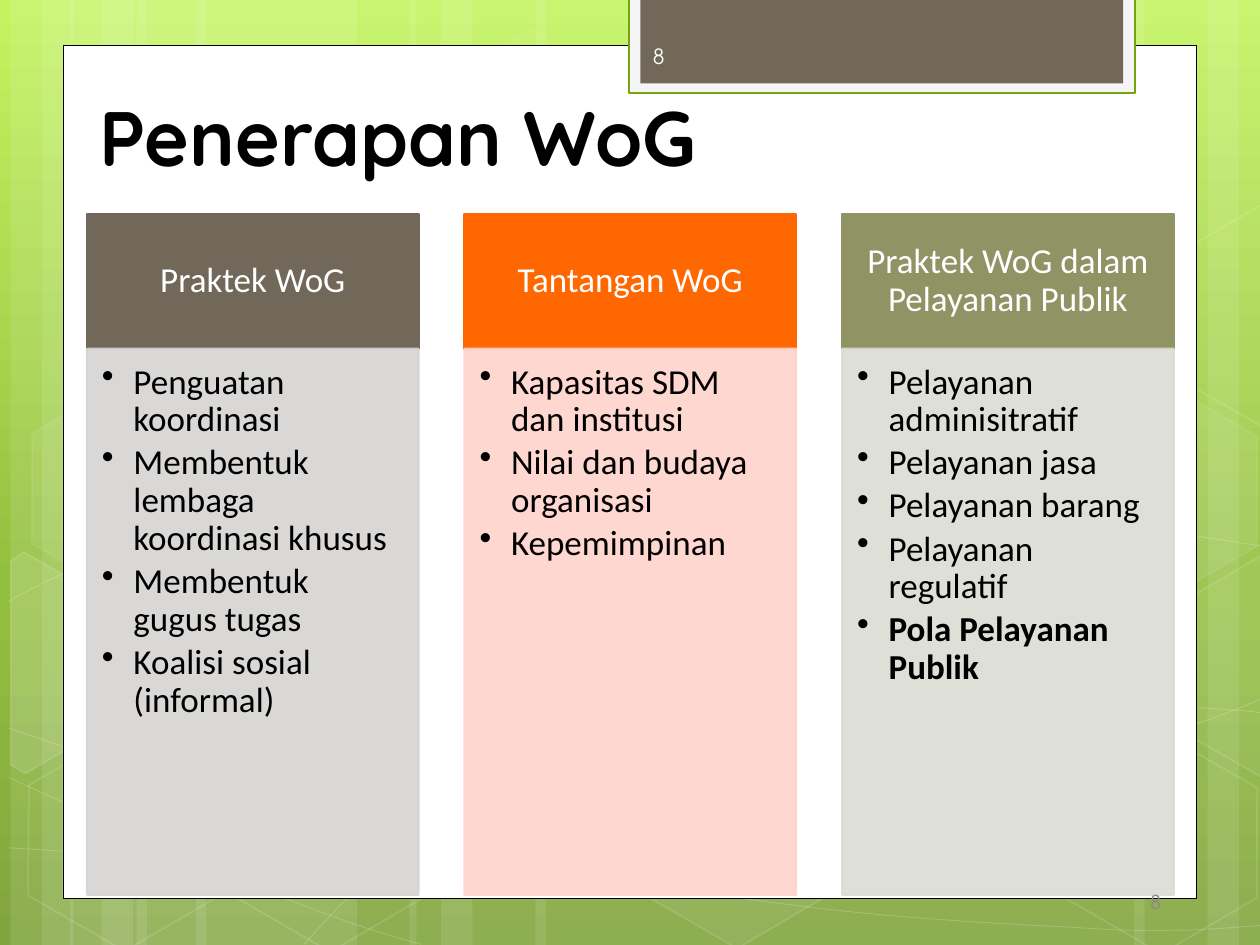
from copy import deepcopy
from math import cos, radians, sin
from lxml.etree import SubElement as Sub
from pptx import Presentation
from pptx.dml.color import RGBColor as Rgb
from pptx.enum.shapes import MSO_SHAPE as Kind
from pptx.enum.text import MSO_ANCHOR as Anchor, PP_ALIGN as Align
from pptx.oxml.ns import qn
from pptx.util import Pt

HEX = {
    "white": "FFFFFF", "black": "000000", "lime": "C3F35F", "green": "93BF3F",
    "moss": "81A53E", "edge": "74A510", "pale": "F5F5F5", "brown": "71685A",
    "orange": "FF6700", "olive": "909465", "stone": "D5D4D2", "pink": "FFD3CC",
    "sage": "DBDCD3", "grey": "8B8B8B", "snow": "FEFEFE",
}
PAGE = (0, 0, 720, 540)
TILT = 30
BARS = [(x + dx, w) for dx in (0, 34) for x, w in ((78, 126), (6, 36), (24, 60))]
TURNED = [(528, 126), (690, 36), (648, 60)]
MIDDLE = [(306, 222), (234, 36), (252, 60)]
CURVES = [
    [(5, 484.5), (44, 487), (83, 489), (137, 488), (191, 487), (258, 486), (330, 479),
     (402, 472), (504, 458), (570, 444), (636, 430.5), (703.5, 409), (725, 397)],
    [(5, 343.5), (26, 332), (47, 321), (87, 310), (128, 299.5), (186.5, 283.5),
     (250, 278.5), (314, 273.5), (392, 273), (471, 278.5), (550, 284.5),
     (682, 306.5), (725, 312.5)],
    [(4.5, 444), (91.5, 484), (178, 523.5), (240.5, 539.5)],
    [(5, 416), (27.5, 424), (50.5, 432), (92, 443.5), (134, 454.5), (196.5, 472.5),
     (257, 484.5), (317, 497), (392.5, 510), (452, 517), (512, 525), (576, 528),
     (614, 530), (651.5, 532.5), (661.5, 531.5), (680.5, 531.5), (699, 530.5),
     (712, 529.5), (725, 528.5)],
    [(174, 539.5), (187, 525), (200, 510.5), (217.5, 497.5), (234.5, 484.5),
     (259, 470), (279.5, 460), (299.5, 450), (312, 445.5), (338.5, 438.5),
     (364.5, 431.5), (412.5, 421), (438, 416), (463.5, 411), (467.5, 411),
     (489.5, 409.5), (512, 407.5), (547, 405.5), (571.5, 404.5), (597, 404),
     (638, 404.5), (638, 404.5), (638, 404.5), (686, 404.5), (686, 404.5),
     (699, 405.5), (711.5, 406), (718, 407), (724.5, 407.5), (722, 407), (724.5, 407.5)],
]
HEXES = [
    (240.5, 26, 4, 8), (358, 424, 6, 12), (8, 425.5, 0, 12), (10, 224.5, 7, 8),
    (125.5, 426, 0, 12), (542, 326, 10, 12), (600.5, 427, 0, 12), (600.5, 226, 7, 8),
]
LEFT = [(6, 320.5), (13.5, 315.5), (69, 347), (68.5, 410.5), (14.5, 442), (6, 437)]
RIGHT = [(666.5, 349), (720.5, 317.5), (726.5, 321), (726.5, 441.5), (721.5, 444),
         (666.5, 412.5)]
CARDS = [
    ("Praktek WoG", "brown", "stone",
     ["Penguatan koordinasi", "Membentuk lembaga koordinasi khusus",
      "Membentuk gugus tugas", "Koalisi sosial (informal)"]),
    ("Tantangan WoG", "orange", "pink",
     ["Kapasitas SDM dan institusi", "Nilai dan budaya organisasi", "Kepemimpinan"]),
    ("Praktek WoG dalam Pelayanan Publik", "olive", "sage",
     ["Pelayanan adminisitratif", "Pelayanan jasa", "Pelayanan barang",
      "Pelayanan regulatif", "Pola Pelayanan Publik"]),
]


def tint(shape, fill, trail, name, alpha):
    fill.solid()
    fill.fore_color.rgb = Rgb.from_string(HEX[name])
    if alpha < 100:
        tags = ["p:spPr"] + trail + ["a:solidFill", "a:srgbClr"]
        color = shape.element.find("/".join(qn(t) for t in tags))
        Sub(color, qn("a:alpha")).set("val", str(alpha * 1000))


def paint(shape, fill=None, line=None, width=1, fill_a=100, line_a=100):
    shape.shadow.inherit = False
    if fill:
        tint(shape, shape.fill, [], fill, fill_a)
    else:
        shape.fill.background()
    if line:
        shape.line.width = Pt(width)
        tint(shape, shape.line.fill, ["a:ln"], line, line_a)
    else:
        shape.line.fill.background()


def block(slide, box, kind=Kind.RECTANGLE, **look):
    shape = slide.shapes.add_shape(kind, *map(Pt, box))
    paint(shape, **look)
    return shape


def write(shape, text, size, font, color, align, anchor, pads, bold=False):
    frame = shape.text_frame
    frame.word_wrap = True
    frame.vertical_anchor = anchor
    (frame.margin_left, frame.margin_top,
     frame.margin_right, frame.margin_bottom) = map(Pt, pads)
    frame.text = text
    for para in frame.paragraphs:
        para.alignment = align
        for run in para.runs:
            run.font.size, run.font.name, run.font.bold = Pt(size), font, bold
            run.font.color.rgb = Rgb.from_string(HEX[color])
    return frame.paragraphs


def trace(slide, box, pts, close=False, **look):
    pts = [(Pt(box[0] + x), Pt(box[1] + y)) for x, y in pts]
    pen = slide.shapes.build_freeform(*pts[0])
    pen.add_line_segments(pts[1:], close=close)
    shape = pen.convert_to_shape()
    paint(shape, line="white", **look)
    return shape


def curve(slide, box, pts):
    shape = trace(slide, box, pts, width=0.5, line_a=20)
    legs = list(shape.element.iter(qn("a:lnTo")))
    for a, b, c in zip(legs[::3], legs[1::3], legs[2::3]):
        a.tag = qn("a:cubicBezTo")
        for leg in (b, c):
            a.append(leg[0])
            leg.getparent().remove(leg)


def shard(slide, box, pts, mid, **look):
    c, s = cos(radians(TILT)), sin(radians(TILT))
    mx, my = mid
    flat = [(mx + (x - mx) * c + (y - my) * s, my + (y - my) * c - (x - mx) * s)
            for x, y in pts]
    trace(slide, box, flat, True, line_a=12, **look).rotation = TILT


def scene(slide, box):
    left, top, _, tall = box
    fill = slide.background.fill
    fill.gradient()
    fill.gradient_angle = 270
    stops = slide.element.find(".//" + qn("a:gsLst"))
    stops.insert(1, deepcopy(stops[0]))
    for stop, name, pos in zip(fill.gradient_stops, ("lime", "green", "moss"), (0, 0.62, 1)):
        stop.color.rgb = Rgb.from_string(HEX[name])
        stop.position = pos
    for group, turn in ((BARS, 0), (TURNED, 180), (MIDDLE, 0)):
        for x, w in group:
            bar = block(slide, (left + x, top, w, tall), fill="white", fill_a=10)
            bar.rotation = turn
    for pts in CURVES:
        curve(slide, box, pts)
    for x, y, fill_a, line_a in HEXES:
        cell = block(slide, (left + x, top + y, 126, 109.4), Kind.HEXAGON,
                     fill="white" if fill_a else None, fill_a=fill_a,
                     line="white", line_a=line_a)
        cell.adjustments[0], cell.adjustments[1] = 0.285, 1.155
        cell.rotation = TILT
    shard(slide, box, LEFT, (25.9, 385.2), fill="white", fill_a=10)
    shard(slide, box, RIGHT, (709.2, 374.4), fill="white", fill_a=4)
    high = [(x, y - 200.5) for x, y in RIGHT]
    shard(slide, box, high, (709.2, 173.9))


def panel(slide, box):
    x, y, w, h = box
    block(slide, box, fill="white", line="black", width=0.5)
    block(slide, (x + 323.2, y - 27.4, 289.4, 54.7), fill="pale", line="edge", width=1.25)
    block(slide, (x + 330, y - 27.4, 275.8, 49), fill="brown")


def head(slide, box):
    title = slide.shapes.title
    title.left, title.top, title.width, title.height = map(Pt, box)
    para, = write(title, "Penerapan WoG", 44, "Quicksand", "black", Align.LEFT,
                  Anchor.MIDDLE, (7.2, 3.6, 7.2, 3.6), True)
    para.line_spacing = 0.9
    title.element.getparent().append(title.element)


def card(slide, box, name, dark, light, items):
    x, y, w, h = box
    cap = 77
    top = block(slide, (x, y, w, cap), fill=dark, line=dark, width=1.25)
    para, = write(top, name, 20, "Calibri", "white", Align.CENTER, Anchor.MIDDLE,
                  (11.5, 6.5, 11.5, 6.5))
    para.line_spacing, para.space_after = 0.9, Pt(7)
    body = block(slide, (x, y + cap, w, h - cap), fill=light, fill_a=90,
                 line=light, line_a=90, width=1.25)
    paras = write(body, "\n".join(items), 20, "Calibri", "black", Align.LEFT,
                  Anchor.TOP, (8.6, 8.6, 11.5, 13))
    for para in paras:
        para.level, para.line_spacing, para.space_after = 1, 0.9, Pt(3)
        props = para._p.get_or_add_pPr()
        props.set("marL", str(Pt(18)))
        props.set("indent", str(Pt(-18)))
        Sub(Sub(props, qn("a:buClr")), qn("a:srgbClr")).set("val", HEX["black"])
        Sub(props, qn("a:buChar")).set("char", "•")
    return paras


def cards(slide, box):
    x, y, w, h = box
    wide = 189.5
    step = (w - wide) / (len(CARDS) - 1)
    for i, data in enumerate(CARDS):
        paras = card(slide, (x + i * step, y, wide, h), *data)
    paras[-1].runs[0].font.bold = True


def count(slide, box, font, color, align):
    note = slide.shapes.add_textbox(*map(Pt, box))
    write(note, "8", 12, font, color, align, Anchor.MIDDLE, (7.2, 3.6, 7.2, 3.6))


def main():
    deck = Presentation()
    deck.slide_width, deck.slide_height = Pt(PAGE[2]), Pt(PAGE[3])
    slide = deck.slides.add_slide(deck.slide_layouts[5])
    scene(slide, PAGE)
    panel(slide, (36, 26, 648, 487.2))
    head(slide, (49.5, 28.5, 621, 104.5))
    cards(slide, (49.7, 122.3, 621, 389))
    count(slide, (508.5, 500.5, 162, 28.8), "Calibri", "grey", Align.RIGHT)
    count(slide, (366, 17.6, 105, 28.8), "TeX Gyre Adventor", "snow", Align.LEFT)
    deck.save("out.pptx")


if __name__ == "__main__":
    main()
